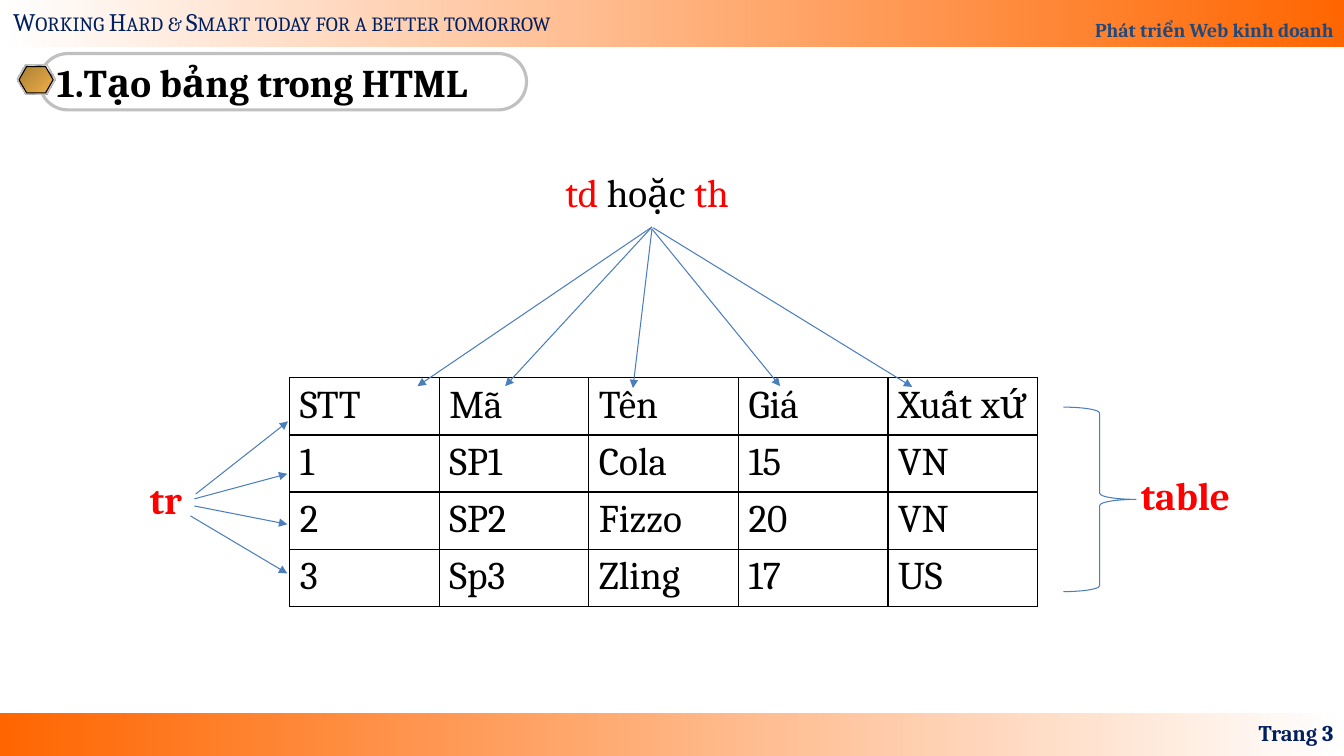
from copy import deepcopy
from dataclasses import dataclass, field
from typing import Any, Optional

from lxml import etree
from pptx import Presentation, util as u
from pptx.dml import color as clr
from pptx.enum import shapes as es, text as et
from pptx.oxml import ns

HUES = {
    "white": "FFFFFF", "orange": "FF6600", "blue": "1F497D", "navy": "002060",
    "grey": "C0C0C0", "dark": "808080", "black": "000000", "red": "FF0000",
    "arrow": "4B7EBC", "bronze": "AB7E34", "gold": "EFB049",
    "pale": "E6E6E6", "steel": "7D8496",
}
FONT = "Cambria"
KIND = es.MSO_SHAPE
ALIGN = et.PP_ALIGN
MID = et.MSO_ANCHOR.MIDDLE
SILVER = [(0, "pale"), (7, "steel"), (26, "pale"), (34, "steel"), (46, "pale"),
          (50, "white"), (54, "pale"), (66, "steel"), (74, "pale"),
          (93, "steel"), (100, "pale")]
HEX = (0.289, 1.155)


@dataclass
class Form:
    kind: Any
    box: tuple[float, ...]
    fill: list[tuple[int, str]] = field(default_factory=list)
    line: Optional[str] = None
    width: float = 0.75
    turn: float = 0
    bends: tuple[float, ...] = ()


@dataclass
class Label:
    box: tuple[float, ...]
    runs: list[tuple[str, str]]
    size: float
    bold: bool = False
    align: Any = ALIGN.LEFT
    anchor: Any = et.MSO_ANCHOR.TOP
    wrap: bool = False
    space: float = 1.0
    caps: bool = False


@dataclass
class Arrow:
    start: tuple[float, float]
    end: tuple[float, float]


FORMS = [
    Form(KIND.RECTANGLE, (0, 17.96, 33.87, 1.09), [(0, "orange"), (100, "white")]),
    Form(KIND.RECTANGLE, (0, 0, 33.87, 1.18), [(0, "white"), (100, "orange")]),
    Form(KIND.ROUNDED_RECTANGLE, (1, 1.35, 12.27, 1.42), line="grey", width=2.25,
         bends=(0.5,)),
    Form(KIND.HEXAGON, (0.43, 1.65, 0.97, 0.74), [(0, "dark")], bends=HEX),
    Form(KIND.HEXAGON, (0.43, 1.63, 0.97, 0.74), SILVER, "grey", turn=315, bends=HEX),
    Form(KIND.HEXAGON, (0.48, 1.68, 0.86, 0.66), [(0, "bronze"), (100, "gold")],
         "black", turn=315, bends=HEX),
    Form(KIND.RIGHT_BRACE, (26.8, 10.26, 1.83, 4.65), line="arrow"),
]
TITLE = Label((1.18, 1.35, 12, 1.42), [("1.Tạo bảng trong HTML", "black")], 28, True,
              anchor=MID, wrap=True)
LABELS = [
    Label((0, 0, 33.87, 1.18), [("Phát triển Web kinh doanh", "blue")], 14, True,
          ALIGN.RIGHT, et.MSO_ANCHOR.BOTTOM, True, 1.8),
    Label((0.08, 0.03, 14.99, 1.02),
          [("Working Hard & Smart today for a better tomorrow", "navy")], 18, caps=True),
    Label((25.96, 17.96, 7.9, 1.02), [("Trang 3", "navy")], 16, True,
          ALIGN.RIGHT, MID, True),
    Label((28.5, 11.76, 2.84, 1.45), [("table", "red")], 28, True),
    Label((3.53, 11.86, 1.35, 1.45), [("tr", "red")], 28, True),
    Label((14, 4.11, 4.9, 1.45),
          [("td", "red"), (" hoặc ", "black"), ("th", "red")], 28),
]
ARROWS = [
    Arrow((4.93, 12.45), (7.26, 10.62)),
    Arrow((4.9, 12.57), (7.24, 11.94)),
    Arrow((4.9, 12.75), (7.24, 13.21)),
    Arrow((4.8, 13), (7.24, 14.45)),
    Arrow((16.43, 5.72), (10.52, 9.73)),
    Arrow((16.43, 5.72), (12.73, 9.73)),
    Arrow((16.43, 5.77), (15.95, 9.78)),
    Arrow((16.43, 5.77), (19.66, 9.73)),
    Arrow((16.46, 5.74), (22.99, 9.75)),
]
GOODS = [
    ["STT", "Mã", "Tên", "Giá", "Xuất xứ"],
    ["1", "SP1", "Cola", "15", "VN"],
    ["2", "SP2", "Fizzo", "20", "VN"],
    ["3", "Sp3", "Zling", "17", "US"],
]


def hue(name: str) -> clr.RGBColor:
    return clr.RGBColor.from_string(HUES[name])


def put(item: Any, form: dict[str, Any]) -> None:
    for name, value in form.items():
        setattr(item, name, value)


def cms(box: tuple[float, ...]) -> list[u.Length]:
    return [u.Cm(side) for side in box]


def write(para: Any, runs: list[tuple[str, str]], size: float,
          bold: bool = False, caps: bool = False) -> None:
    for words, tint in runs:
        run = para.add_run()
        run.text = words
        put(run.font, {"name": FONT, "size": u.Pt(size), "bold": bold})
        run.font.color.rgb = hue(tint)
        if caps:
            run.font._element.set("cap", "small")


def paint(shape: Any, stops: list[tuple[int, str]], turn: float) -> None:
    fill = shape.fill
    if not stops:
        fill.background()
    elif len(stops) == 1:
        fill.solid()
        fill.fore_color.rgb = hue(stops[0][1])
    else:
        fill.gradient()
        fill.gradient_angle = turn
        group = next(shape._element.iter(ns.qn("a:gsLst")))
        for _ in stops[2:]:
            group.append(deepcopy(group[0]))
        for stop, (spot, tint) in zip(fill.gradient_stops, stops):
            stop.position = spot / 100
            stop.color.rgb = hue(tint)


def draw(slide: Any, form: Form) -> None:
    shape = slide.shapes.add_shape(form.kind, *cms(form.box))
    shape.shadow.inherit = False
    for spot, bend in enumerate(form.bends):
        shape.adjustments[spot] = bend
    paint(shape, form.fill, form.turn)
    if form.line:
        shape.line.color.rgb = hue(form.line)
        shape.line.width = u.Pt(form.width)
    else:
        shape.line.fill.background()


def letter(shape: Any, label: Label) -> None:
    put(shape, dict(zip(("left", "top", "width", "height"), cms(label.box))))
    frame = shape.text_frame
    put(frame, {"word_wrap": label.wrap, "vertical_anchor": label.anchor,
                "auto_size": et.MSO_AUTO_SIZE.NONE})
    para = frame.paragraphs[0]
    put(para, {"alignment": label.align, "line_spacing": label.space})
    write(para, label.runs, label.size, label.bold, label.caps)


def point(slide: Any, arrow: Arrow) -> None:
    link = slide.shapes.add_connector(es.MSO_CONNECTOR.STRAIGHT,
                                      *cms(arrow.start + arrow.end))
    link.line.color.rgb = hue("arrow")
    link.line.width = u.Pt(0.75)
    etree.SubElement(link.line._get_or_add_ln(), ns.qn("a:tailEnd"), type="triangle")
    etree.SubElement(link._element.spPr, ns.qn("a:effectLst"))


def edge(cell: Any) -> None:
    props = cell._tc.get_or_add_tcPr()
    for side in "LRTB":
        line = etree.SubElement(props, ns.qn(f"a:ln{side}"), w=str(u.Pt(1)))
        fill = etree.SubElement(line, ns.qn("a:solidFill"))
        etree.SubElement(fill, ns.qn("a:srgbClr"), val=HUES["black"])


def grid(slide: Any, rows: list[list[str]]) -> None:
    wide, high = 3.77, 1.44
    box = (7.3, 9.52, wide * len(rows[0]), high * len(rows))
    table = slide.shapes.add_table(len(rows), len(rows[0]), *cms(box)).table
    put(table, {"first_row": False, "horz_banding": False})
    for col in table.columns:
        col.width = u.Cm(wide)
    for row, words in zip(table.rows, rows):
        row.height = u.Cm(high)
        for cell, word in zip(row.cells, words):
            edge(cell)
            cell.fill.background()
            write(cell.text_frame.paragraphs[0], [(word, "black")], 28)


def main() -> None:
    deck = Presentation()
    put(deck, {"slide_width": u.Cm(33.87), "slide_height": u.Cm(19.05)})
    slide = deck.slides.add_slide(deck.slide_layouts[5])
    for form in FORMS:
        draw(slide, form)
    letter(slide.shapes.title, TITLE)
    for label in LABELS:
        letter(slide.shapes.add_textbox(*cms(label.box)), label)
    grid(slide, GOODS)
    for arrow in ARROWS:
        point(slide, arrow)
    deck.save("out.pptx")


if __name__ == "__main__":
    main()
